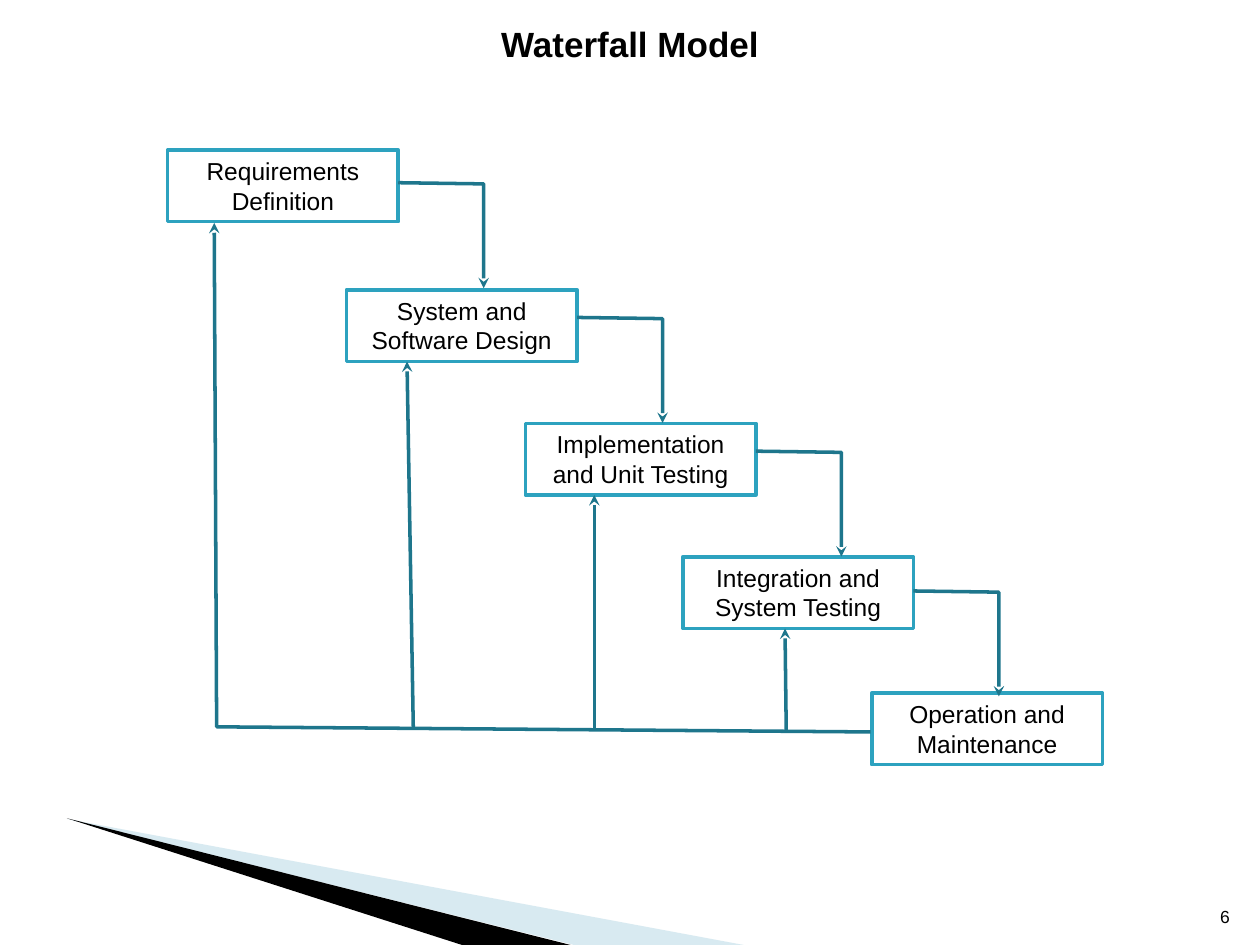
"""Build the Waterfall Model slide with its stages, flow arrows and feedback lines."""
from dataclasses import dataclass

from lxml.etree import SubElement
from pptx import Presentation
from pptx.dml.color import RGBColor as Color
from pptx.enum.shapes import MSO_CONNECTOR as Connector, MSO_SHAPE as Shape
from pptx.enum.text import MSO_ANCHOR as Anchor, PP_ALIGN as Align
from pptx.oxml.ns import qn
from pptx.util import Pt


@dataclass(frozen=True)
class Theme:
    font: str = "Arial"
    text: Color = Color(0, 0, 0)
    box_line: Color = Color(0x2D, 0xA2, 0xBF)
    arrow: Color = Color(0x1E, 0x76, 0x8C)
    pale: Color = Color(0x9F, 0xCB, 0xDC)
    title_size: int = 20
    stage_size: int = 14
    number_size: int = 10
    line_width: int = 2


THEME = Theme()
TITLE = "Waterfall Model"
NUMBER = "6"
STAGES = [
    ("Requirements Definition", 95.8, 85.7),
    ("System and Software Design", 198, 165.6),
    ("Implementation and Unit Testing", 300.2, 241.9),
    ("Integration and System Testing", 390.2, 318.2),
    ("Operation and Maintenance", 498.2, 396),
]
FLOW_STARTS = [104.4, 181.4, 257.8, 337.7]
FEEDBACK_TRUNK = [(497.5, 418.3), (123.8, 415.4), (122.4, 127.4)]
FEEDBACK_BRANCHES = [(236.2, 232.6, 416.9), (339.6, 339.6, 416.9), (449.3, 448.6, 418.3)]
WEDGES = [
    ([(38.2, 468), (425, 540), (328, 540)], THEME.pale, 40),
    ([(38.2, 467.6), (326, 540), (264, 540)], THEME.text, 100),
]
BOX_WIDTH, BOX_HEIGHT = 131.8, 41
FLOW_RUN, FLOW_SAG, FLOW_DROP = 48.8, 0.7, 60.3


def write(shape, text, size, align, anchor, bold=False):
    frame = shape.text_frame
    frame.word_wrap = True
    frame.vertical_anchor = anchor
    frame.margin_left = frame.margin_right = Pt(7.2)
    frame.margin_top = frame.margin_bottom = Pt(3.6)
    paragraph = frame.paragraphs[0]
    paragraph.alignment = align
    run = paragraph.add_run()
    run.text = text
    run.font.name = THEME.font
    run.font.size = Pt(size)
    run.font.bold = bold
    run.font.color.rgb = THEME.text
    return paragraph


def draw_outline(shapes, points, close):
    start, *rest = [(Pt(x), Pt(y)) for x, y in points]
    builder = shapes.build_freeform(*start)
    builder.add_line_segments(rest, close=close)
    shape = builder.convert_to_shape()
    shape.shadow.inherit = False
    return shape


def style_arrow(shape):
    shape.line.color.rgb = THEME.arrow
    shape.line.width = Pt(THEME.line_width)
    line = shape.element.spPr.find(qn("a:ln"))
    SubElement(line, qn("a:round"))
    SubElement(line, qn("a:tailEnd"), type="stealth")


def add_bent_arrow(shapes, points):
    shape = draw_outline(shapes, points, close=False)
    shape.fill.background()
    style_arrow(shape)


def add_straight_arrow(shapes, start, end):
    connector = shapes.add_connector(Connector.STRAIGHT, *map(Pt, start + end))
    style_arrow(connector)
    SubElement(connector.element.spPr, qn("a:effectLst"))


def add_wedge(shapes, points, color, opacity):
    wedge = draw_outline(shapes, points, close=True)
    wedge.fill.solid()
    wedge.fill.fore_color.rgb = color
    wedge.line.fill.background()
    if opacity < 100:
        solid = wedge.element.spPr.find(qn("a:solidFill"))
        SubElement(solid[0], qn("a:alpha"), val=str(opacity * 1000))


def add_stage(shapes, text, left, top):
    box = shapes.add_shape(Shape.RECTANGLE, Pt(left), Pt(top), Pt(BOX_WIDTH), Pt(BOX_HEIGHT))
    box.shadow.inherit = False
    box.fill.background()
    box.line.color.rgb = THEME.box_line
    box.line.width = Pt(THEME.line_width)
    write(box, text, THEME.stage_size, Align.CENTER, Anchor.TOP)


def main():
    presentation = Presentation()
    presentation.slide_width, presentation.slide_height = Pt(720), Pt(540)
    slide = presentation.slides.add_slide(presentation.slide_layouts[5])
    shapes = slide.shapes

    title = shapes.title
    title.left, title.top, title.width, title.height = Pt(36), Pt(12.2), Pt(648), Pt(30.2)
    heading = write(title, TITLE, THEME.title_size, Align.CENTER, Anchor.TOP, bold=True)
    heading.line_spacing = 0.9

    for wedge in WEDGES:
        add_wedge(shapes, *wedge)
    number = shapes.add_textbox(Pt(681), Pt(504.7), Pt(28.8), Pt(28.8))
    write(number, NUMBER, THEME.number_size, Align.RIGHT, Anchor.BOTTOM)

    for stage in STAGES:
        add_stage(shapes, *stage)
    for (_, left, _), y in zip(STAGES, FLOW_STARTS):
        x = left + BOX_WIDTH
        corner = x + FLOW_RUN
        add_bent_arrow(shapes, [(x, y), (corner, y + FLOW_SAG), (corner, y + FLOW_DROP)])

    add_bent_arrow(shapes, FEEDBACK_TRUNK)
    for (_, _, top), (start_x, end_x, start_y) in zip(STAGES[1:], FEEDBACK_BRANCHES):
        add_straight_arrow(shapes, (start_x, start_y), (end_x, top + BOX_HEIGHT))

    presentation.save("out.pptx")


if __name__ == "__main__":
    main()
